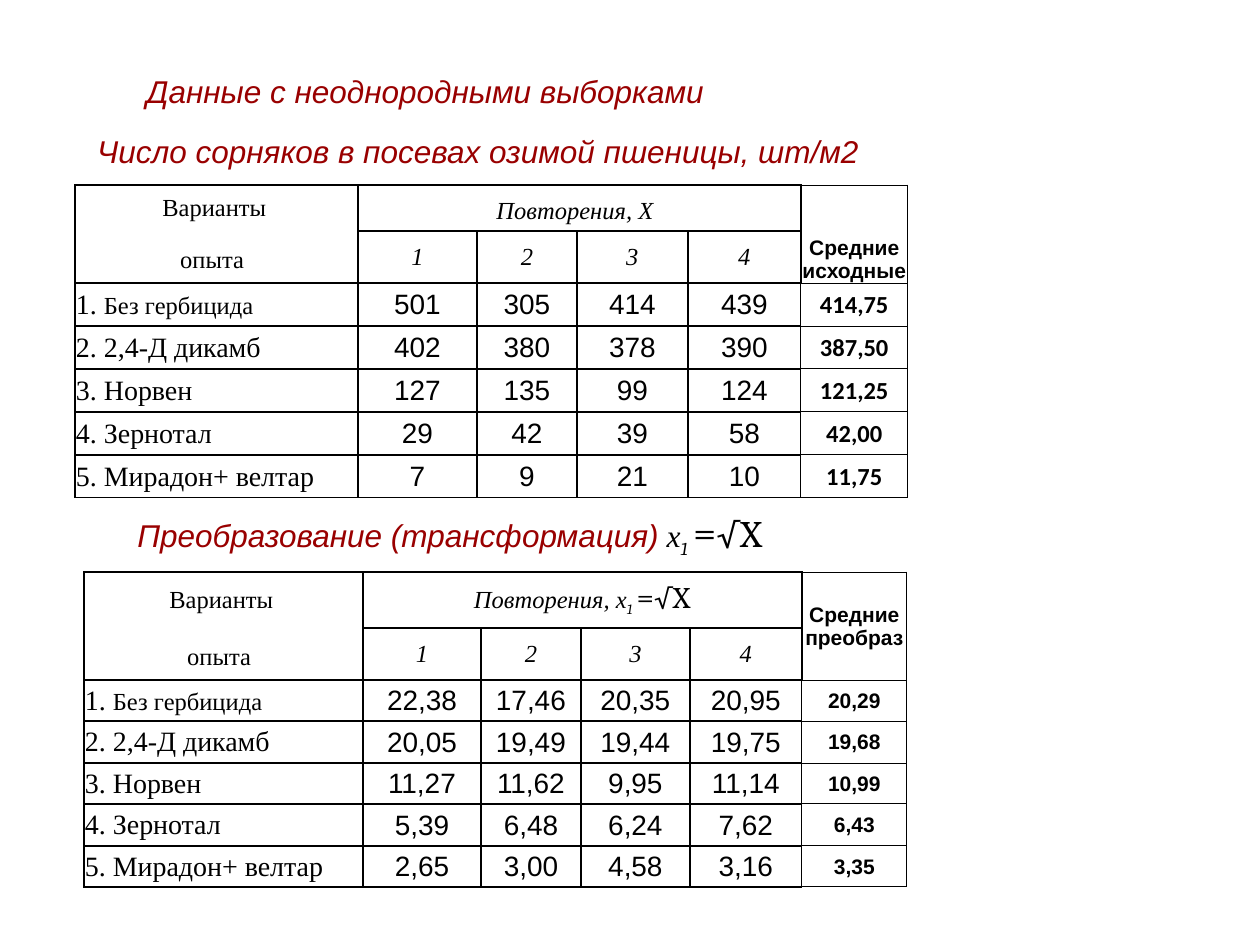
from lxml.etree import SubElement
from pptx import Presentation
from pptx.dml.color import RGBColor
from pptx.enum.text import MSO_ANCHOR, PP_ALIGN
from pptx.oxml.ns import qn
from pptx.util import Pt

PX = 914400 // 126

THEME = {
    "ink": "000000",
    "heading": dict(name="Arial", size=Pt(18), italic=True),
    "heading_color": "990000",
    "symbol": dict(name="Times New Roman", size=Pt(18), italic=True),
    "index": dict(name="Cambria", size=Pt(18), italic=True),
    "gap_index": dict(name="Cambria", size=Pt(24)),
    "equals": dict(name="Cambria", size=Pt(24)),
    "root": dict(name="Cambria", size=Pt(20)),
    "header": dict(name="Times New Roman", size=Pt(14)),
    "header_gap": dict(name="Times New Roman", size=Pt(10)),
    "repeat": dict(name="Times New Roman", size=Pt(14), italic=True),
    "wide_gap": dict(name="Arial", size=Pt(18)),
    "repeat_index": dict(name="Cambria", size=Pt(14), italic=True),
    "repeat_gap_index": dict(name="Cambria", size=Pt(18)),
    "repeat_equals": dict(name="Cambria", size=Pt(18)),
    "repeat_root": dict(name="Cambria", size=Pt(16)),
    "variant": dict(name="Times New Roman", size=Pt(16)),
    "value": dict(name="Arial", size=Pt(16)),
    "mean_header": dict(name="Arial", size=Pt(12), bold=True),
    "mean_source": dict(name="Calibri", size=Pt(14), bold=True),
    "mean_root": dict(name="Arial", size=Pt(12), bold=True),
}


def write(frame, align, *runs):
    """Fill the first paragraph with (text, theme style) runs."""
    paragraph = frame.paragraphs[0]
    paragraph.alignment = align
    for text, style in runs:
        run = paragraph.add_run()
        run.text = text
        for attribute, value in THEME[style].items():
            setattr(run.font, attribute, value)
        color = THEME["heading_color" if style == "heading" else "ink"]
        run.font.color.rgb = RGBColor.from_string(color)
        if style.endswith("index"):
            run.font._element.set("baseline", "-25000")


def draw_borders(cell, widths):
    """Set borders from a dict of side to points; zero means no line."""
    properties = cell._tc.get_or_add_tcPr()
    for side, width in widths.items():
        line = SubElement(properties, qn(f"a:ln{side}"), w=str(Pt(width)))
        if width:
            fill = SubElement(line, qn("a:solidFill"))
            SubElement(fill, qn("a:srgbClr"), val=THEME["ink"])
        else:
            SubElement(line, qn("a:noFill"))


presentation = Presentation()
presentation.slide_width = 1260 * PX
presentation.slide_height = 945 * PX
slide = presentation.slides.add_slide(presentation.slide_layouts[6])

headings = [
    ((84, 126, 788, 50), False, PP_ALIGN.CENTER, MSO_ANCHOR.MIDDLE,
     [("Число сорняков в посевах озимой пшеницы, шт/м2", "heading")]),
    ((134, 66, 1084, 88), True, PP_ALIGN.LEFT, MSO_ANCHOR.TOP,
     [("Данные с неоднородными выборками", "heading")]),
    ((113, 499, 674, 60), False, PP_ALIGN.CENTER, MSO_ANCHOR.TOP,
     [("Преобразование (трансформация)", "heading"), (" х", "symbol"),
      ("1", "index"), (" ", "gap_index"), ("=", "equals"), ("√Х", "root")]),
]
for box, wraps, align, anchor, runs in headings:
    frame = slide.shapes.add_textbox(*(n * PX for n in box)).text_frame
    frame.word_wrap = wraps
    frame.vertical_anchor = anchor
    write(frame, align, *runs)

variants = [
    [("1. ", "variant"), ("Без гербицида ", "header")],
    [("2. 2,4-Д дикамб ", "variant")],
    [("3. Норвен ", "variant")],
    [("4. Зернотал ", "variant")],
    [("5. Мирадон+ велтар ", "variant")],
]
samples = [
    dict(left=75, top=185, columns=[283, 119, 100, 111, 113, 107],
         rows=[46, 52, 43, 43, 43, 43, 43],
         repeats=[("Повторения, Х", "repeat"), (" ", "wide_gap")],
         mean="Средние исходные", mean_anchor=MSO_ANCHOR.BOTTOM, mean_style="mean_source",
         values=["501 305 414 439 414,75", "402 380 378 390 387,50",
                 "127 135 99 124 121,25", "29 42 39 58 42,00", "7 9 21 10 11,75"]),
    dict(left=84, top=572, columns=[279, 118, 100, 109, 112, 105],
         rows=[56, 52, 41, 42, 41, 42, 41],
         repeats=[("Повторения, х", "repeat"), ("1", "repeat_index"),
                  (" ", "repeat_gap_index"), ("=", "repeat_equals"),
                  ("√Х", "repeat_root")],
         mean="Средние преобраз", mean_anchor=MSO_ANCHOR.MIDDLE, mean_style="mean_root",
         values=["22,38 17,46 20,35 20,95 20,29", "20,05 19,49 19,44 19,75 19,68",
                 "11,27 11,62 9,95 11,14 10,99", "5,39 6,48 6,24 7,62 6,43",
                 "2,65 3,00 4,58 3,16 3,35"]),
]

for sample in samples:
    columns, rows = sample["columns"], sample["rows"]
    table = slide.shapes.add_table(
        len(rows), len(columns), sample["left"] * PX, sample["top"] * PX,
        sum(columns) * PX, sum(rows) * PX).table
    table.first_row = table.horz_banding = False
    for column, width in zip(table.columns, columns):
        column.width = width * PX
    for row, height in zip(table.rows, rows):
        row.height = height * PX

    mean_column = len(columns) - 1
    for r in range(len(rows)):
        for c in range(len(columns)):
            cell = table.cell(r, c)
            cell.margin_left = cell.margin_right = cell.margin_top = PX
            cell.margin_bottom = 0
            cell.vertical_anchor = MSO_ANCHOR.MIDDLE
            thin = 0.5 if c == mean_column else 1
            draw_borders(cell, {
                "L": thin,
                "R": 0.5 if c >= mean_column - 1 else 1,
                "T": 0 if (r, c) == (1, 0) else thin,
                "B": 0 if (r, c) == (0, 0) else thin,
            })
            cell.fill.background()

    table.cell(0, 1).merge(table.cell(0, mean_column - 1))
    table.cell(0, mean_column).merge(table.cell(1, mean_column))
    table.cell(0, mean_column).vertical_anchor = sample["mean_anchor"]

    headers = {
        (0, 0): [("Варианты", "header"), (" ", "header_gap")],
        (1, 0): [("опыта", "header"), (" ", "wide_gap")],
        (0, 1): sample["repeats"],
        (0, mean_column): [(sample["mean"], "mean_header")],
    }
    for c in range(1, mean_column):
        headers[1, c] = [(str(c), "repeat")]
    for position, runs in headers.items():
        write(table.cell(*position).text_frame, PP_ALIGN.CENTER, *runs)

    for r, (variant, values) in enumerate(zip(variants, sample["values"]), start=2):
        write(table.cell(r, 0).text_frame, PP_ALIGN.JUSTIFY, *variant)
        for c, value in enumerate(values.split(), start=1):
            style = sample["mean_style"] if c == mean_column else "value"
            write(table.cell(r, c).text_frame, PP_ALIGN.CENTER, (value, style))

presentation.save("out.pptx")
